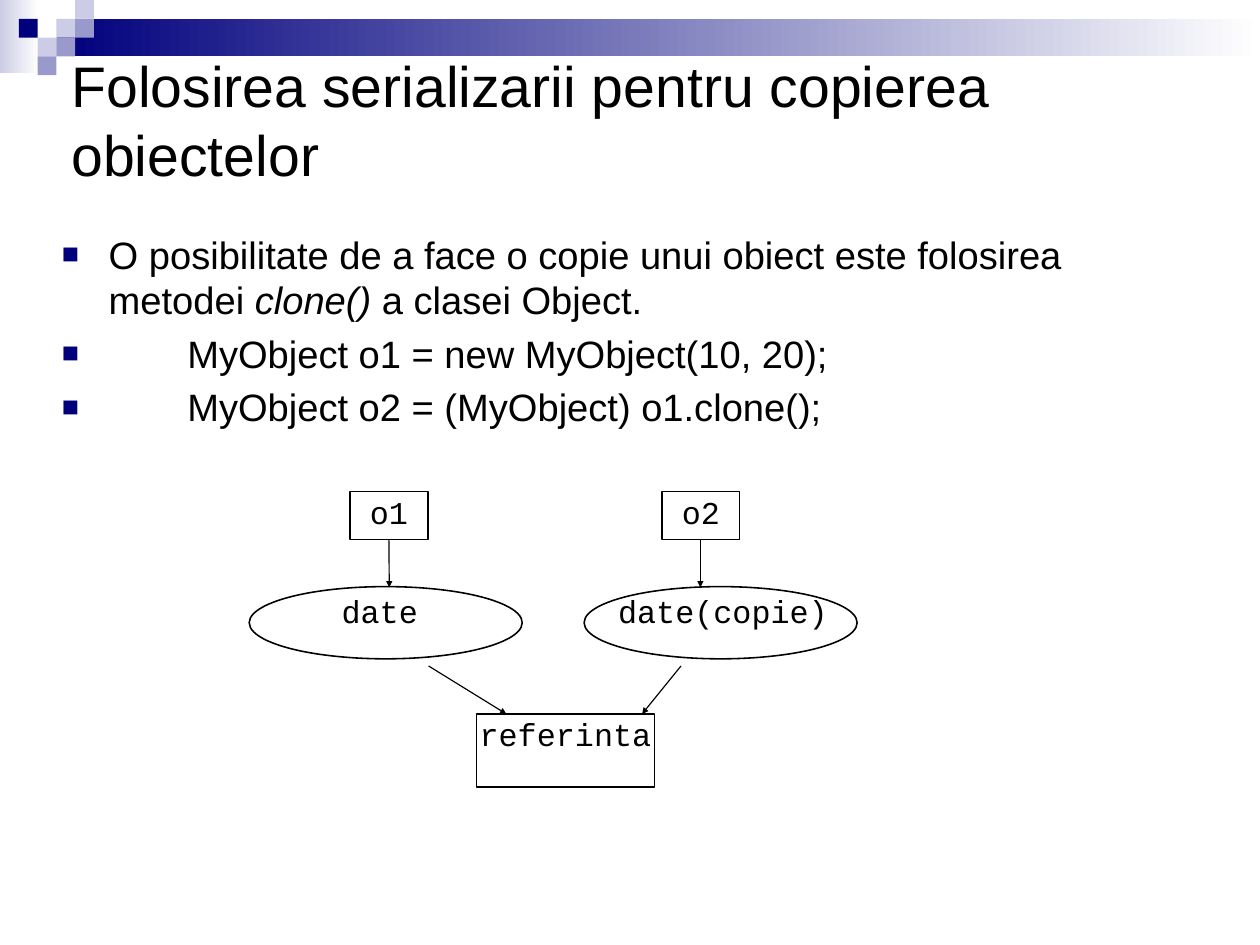
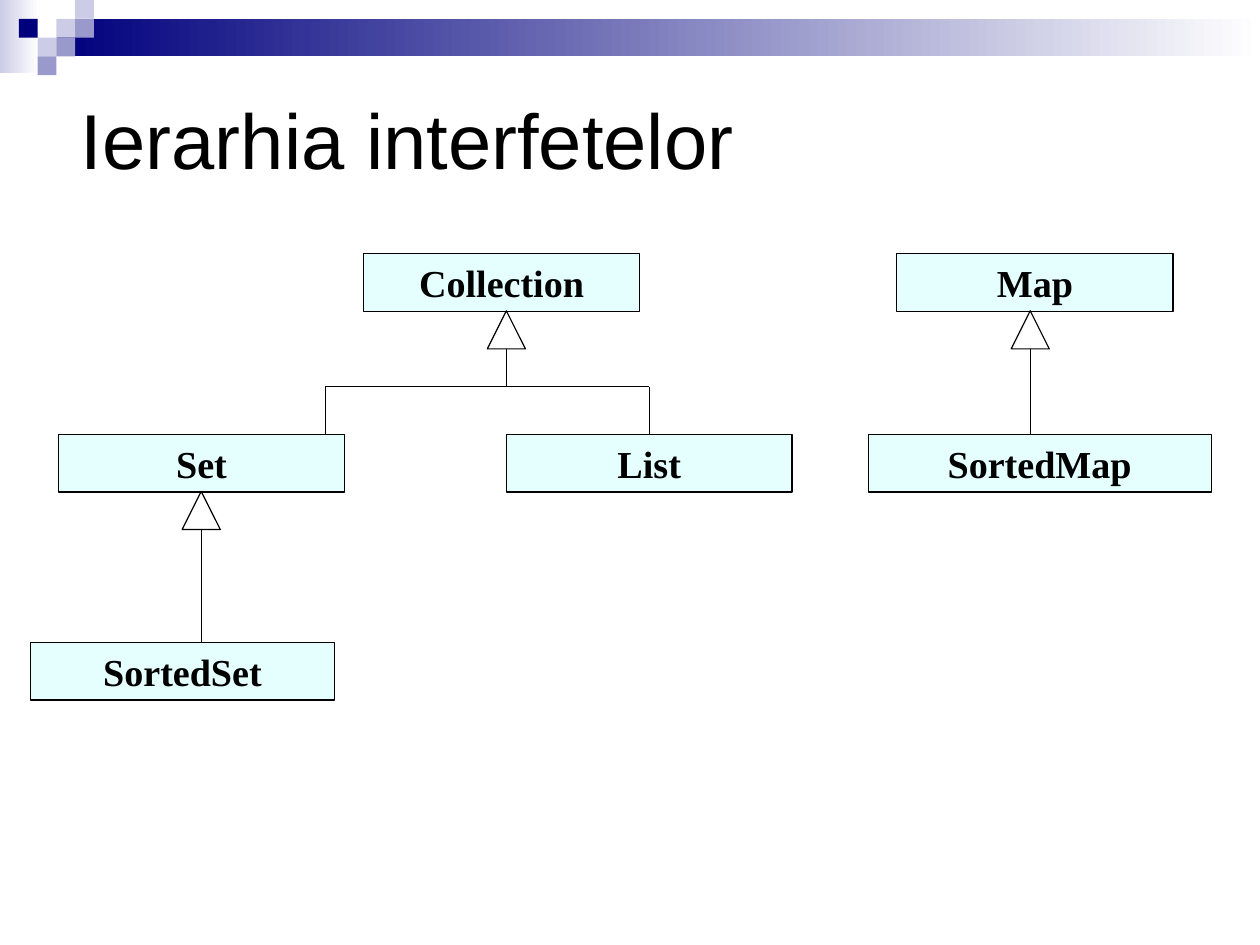
from lxml import etree
from pptx import Presentation
from pptx.dml.color import RGBColor
from pptx.enum import shapes as kinds, text as te
from pptx.oxml.ns import qn
from pptx.util import Pt

# Content
COPY_TITLE = "Folosirea serializarii pentru copierea obiectelor"
HIERARCHY_TITLE = "Ierarhia interfetelor"
# (text indent, [(text, italic)])
BULLETS = [
    (29.5, [("O posibilitate de a face o copie unui obiect este folosirea metodei ", False),
            ("clone()", True), (" a clasei Object.", False)]),
    (79, [("MyObject o1 = new MyObject(10, 20);", False)]),
    (79, [("MyObject o2 = (MyObject) o1.clone();", False)]),
]
# text, left, top, width, height, line width
REFERENCE_BOXES = [
    ("o1", 220.5, 309.5, 49, 30.5, 1),
    ("o2", 417, 309.5, 49, 30.5, 1),
    ("referinta", 300, 449.75, 112.5, 46, 0.75),
]
# text, ellipse left, text left, text width
DATA_ELLIPSES = [("date", 157, 208, 62.5), ("date(copie)", 368, 382.5, 146)]
REFERENCE_ARROWS = [
    (245, 340, 245.25, 370), (441.25, 340, 441.25, 370),
    (270, 419.5, 319, 449.75), (429, 419.5, 404.5, 449.75),
]
# text, left, row, width
INTERFACES = [
    ("Collection", 229, 0, 174), ("Map", 565, 0, 174),
    ("Set", 37, 1, 180), ("List", 319, 1, 180), ("SortedMap", 547, 1, 216),
    ("SortedSet", 19, 2, 192),
]
# parent row, axis of the parent's triangle, axes of the children
INHERITANCE = [(0, 319, (205, 409)), (0, 649, (649,)), (1, 126.75, (126.75,))]
SQUARES = [  # column, row, colour
    (3, 1, "pale"), (4, 0, "pale"), (4, 1, "mid"), (2, 2, "pale"),
    (1, 1, "navy"), (3, 2, "mid"), (2, 3, "mid"),
]

# Theme and geometry
THEME = {
    "navy": RGBColor(0x00, 0x00, 0x7D), "mid": RGBColor(0x99, 0x99, 0xCC),
    "pale": RGBColor(0xCC, 0xCC, 0xE6), "white": RGBColor(255, 255, 255),
    "black": RGBColor(0, 0, 0), "cyan": RGBColor(0xCC, 0xFF, 0xFF),
    "copy_title": {"name": "Arial", "size": Pt(36)},
    "hierarchy_title": {"name": "Arial", "size": Pt(49)},
    "body": {"name": "Arial", "size": Pt(24)},
    "code": {"name": "Courier New", "size": Pt(20)},
    "interface": {"name": "Times New Roman", "size": Pt(24), "bold": True},
    "thin": 0.75, "thick": 1,
}
WIDTH, HEIGHT = 793.75, 595.25
SQUARE = 11.85
ROWS, BOX_HEIGHT = (159.75, 273.5, 404.5), 36.5
TRIANGLE, BRANCH_Y = 24, 243.5
ELLIPSE_TOP, ELLIPSE_SIZE = 369.5, (172, 45.5)


def assign(target, **values):
    for key, value in values.items():
        setattr(target, key, value)


def set_font(font, style, **extra):
    assign(font, **style, **extra)
    font.color.rgb = THEME["black"]


def set_frame(frame, inset_x, inset_y, anchor, wrap=True):
    assign(frame, margin_left=Pt(inset_x), margin_right=Pt(inset_x),
           margin_top=Pt(inset_y), margin_bottom=Pt(inset_y),
           vertical_anchor=anchor, word_wrap=wrap, auto_size=te.MSO_AUTO_SIZE.NONE)


def add_part(slide, kind, left, top, width, height, fill=None, line=None):
    """fill: None, one colour, or a pair of gradient colours."""
    part = slide.shapes.add_shape(kind, Pt(left), Pt(top), Pt(width), Pt(height))
    part.shadow.inherit = False
    if fill is None:
        part.fill.background()
    elif isinstance(fill, list):
        part.fill.gradient()
        part.fill.gradient_angle = 0
        for stop, colour in zip(part.fill.gradient_stops, fill):
            stop.color.rgb = colour
    else:
        part.fill.solid()
        part.fill.fore_color.rgb = fill
    if line is None:
        part.line.fill.background()
    else:
        part.line.color.rgb = THEME["black"]
        part.line.width = Pt(line)
    return part


def add_label(part, label, style):
    paragraph = part.text_frame.paragraphs[0]
    paragraph.text = label
    paragraph.alignment = te.PP_ALIGN.CENTER
    set_font(paragraph.font, style)


def add_line(slide, x1, y1, x2, y2, arrow=False):
    line = slide.shapes.add_connector(
        kinds.MSO_CONNECTOR.STRAIGHT, Pt(x1), Pt(y1), Pt(x2), Pt(y2))
    line.line.color.rgb = THEME["black"]
    line.line.width = Pt(THEME["thin"])
    properties = line.element.spPr
    if arrow:
        etree.SubElement(properties.find(qn("a:ln")), qn("a:tailEnd"),
                         type="triangle", w="sm", len="sm")
    etree.SubElement(properties, qn("a:effectLst"))


def add_band(layout, slide):
    """Draw the header band and move it into the shared layout."""
    rect = kinds.MSO_SHAPE.RECTANGLE
    band = [
        add_part(slide, rect, 0, 0, 24.5, 46, [THEME["pale"], THEME["white"]]),
        add_part(slide, rect, 36, SQUARE, WIDTH - 36, 2 * SQUARE,
                 [THEME["navy"], THEME["white"]]),
    ]
    band += [add_part(slide, rect, column * SQUARE, row * SQUARE, SQUARE, SQUARE, THEME[colour])
             for column, row, colour in SQUARES]
    for index, part in enumerate(band):
        part.element.nvSpPr.cNvPr.id = 100 + index
        layout.shapes.element.insert(2 + index, part.element)


def add_title(slide, title, left, top, style):
    holder = slide.shapes.title
    assign(holder, left=Pt(left), top=Pt(top), width=Pt(714), height=Pt(119))
    set_frame(holder.text_frame, 8, 4, te.MSO_ANCHOR.MIDDLE)
    paragraph = holder.text_frame.paragraphs[0]
    paragraph.text = title
    paragraph.alignment = te.PP_ALIGN.LEFT
    set_font(paragraph.font, style)


def add_bullet(paragraph, indent):
    properties = paragraph._p.get_or_add_pPr()
    properties.set("marL", str(Pt(indent)))
    properties.set("indent", str(-Pt(indent)))
    colour = etree.SubElement(properties, qn("a:buClr"))
    etree.SubElement(colour, qn("a:srgbClr"), val=str(THEME["navy"]))
    etree.SubElement(properties, qn("a:buSzPct"), val="75000")
    etree.SubElement(properties, qn("a:buFont"), typeface="Arial")
    etree.SubElement(properties, qn("a:buChar"), char="■")


def build_copy_slide(slide):
    add_title(slide, COPY_TITLE, 37, 15.5, THEME["copy_title"])

    # Bulleted explanation
    body = slide.shapes.add_textbox(Pt(31), Pt(141.5), Pt(714), Pt(337)).text_frame
    set_frame(body, 8, 4, te.MSO_ANCHOR.TOP)
    for index, (indent, runs) in enumerate(BULLETS):
        paragraph = body.add_paragraph() if index else body.paragraphs[0]
        if index:
            paragraph.space_before = Pt(4.8)
        add_bullet(paragraph, indent)
        for words, italic in runs:
            run = paragraph.add_run()
            run.text = words
            set_font(run.font, THEME["body"], italic=italic)

    # Object diagram
    for label, left, top, width, height, line in REFERENCE_BOXES:
        box = add_part(slide, kinds.MSO_SHAPE.RECTANGLE, left, top, width, height, line=line)
        set_frame(box.text_frame, 0.75, 0.75, te.MSO_ANCHOR.TOP)
        add_label(box, label, THEME["code"])
    for label, left, text_left, text_width in DATA_ELLIPSES:
        add_part(slide, kinds.MSO_SHAPE.OVAL, left, ELLIPSE_TOP, *ELLIPSE_SIZE,
                 line=THEME["thick"])
        caption = slide.shapes.add_textbox(
            Pt(text_left), Pt(ELLIPSE_TOP), Pt(text_width), Pt(31))
        set_frame(caption.text_frame, 7.2, 3.6, te.MSO_ANCHOR.TOP, wrap=False)
        add_label(caption, label, THEME["code"])
    for ends in REFERENCE_ARROWS:
        add_line(slide, *ends, arrow=True)


def build_hierarchy_slide(slide):
    add_title(slide, HIERARCHY_TITLE, 43, 27.5, THEME["hierarchy_title"])

    # Interfaces
    for label, left, row, width in INTERFACES:
        box = add_part(slide, kinds.MSO_SHAPE.RECTANGLE, left, ROWS[row], width, BOX_HEIGHT,
                       THEME["cyan"], THEME["thin"])
        tint = box.element.spPr.find(qn("a:solidFill")).find(qn("a:srgbClr"))
        etree.SubElement(tint, qn("a:alpha"), val="50000")
        set_frame(box.text_frame, 7.2, 3.6, te.MSO_ANCHOR.MIDDLE)
        add_label(box, label, THEME["interface"])

    # Inheritance triangles and lines
    for row, axis, children in INHERITANCE:
        apex, child_top = ROWS[row] + BOX_HEIGHT - 0.5, ROWS[row + 1]
        add_part(slide, kinds.MSO_SHAPE.ISOSCELES_TRIANGLE, axis - TRIANGLE / 2, apex,
                 TRIANGLE, TRIANGLE, line=THEME["thin"])
        branched = len(children) > 1
        add_line(slide, axis, apex + TRIANGLE, axis, BRANCH_Y if branched else child_top)
        if branched:
            add_line(slide, children[0], BRANCH_Y, children[-1], BRANCH_Y)
            for child in children:
                add_line(slide, child, BRANCH_Y, child, child_top)


def main():
    deck = Presentation()
    assign(deck, slide_width=Pt(WIDTH), slide_height=Pt(HEIGHT))
    layout = deck.slide_layouts.get_by_name("Title Only")
    copy_slide, hierarchy_slide = (deck.slides.add_slide(layout) for _ in range(2))
    add_band(layout, copy_slide)
    build_copy_slide(copy_slide)
    build_hierarchy_slide(hierarchy_slide)
    deck.save("out.pptx")


if __name__ == "__main__":
    main()
